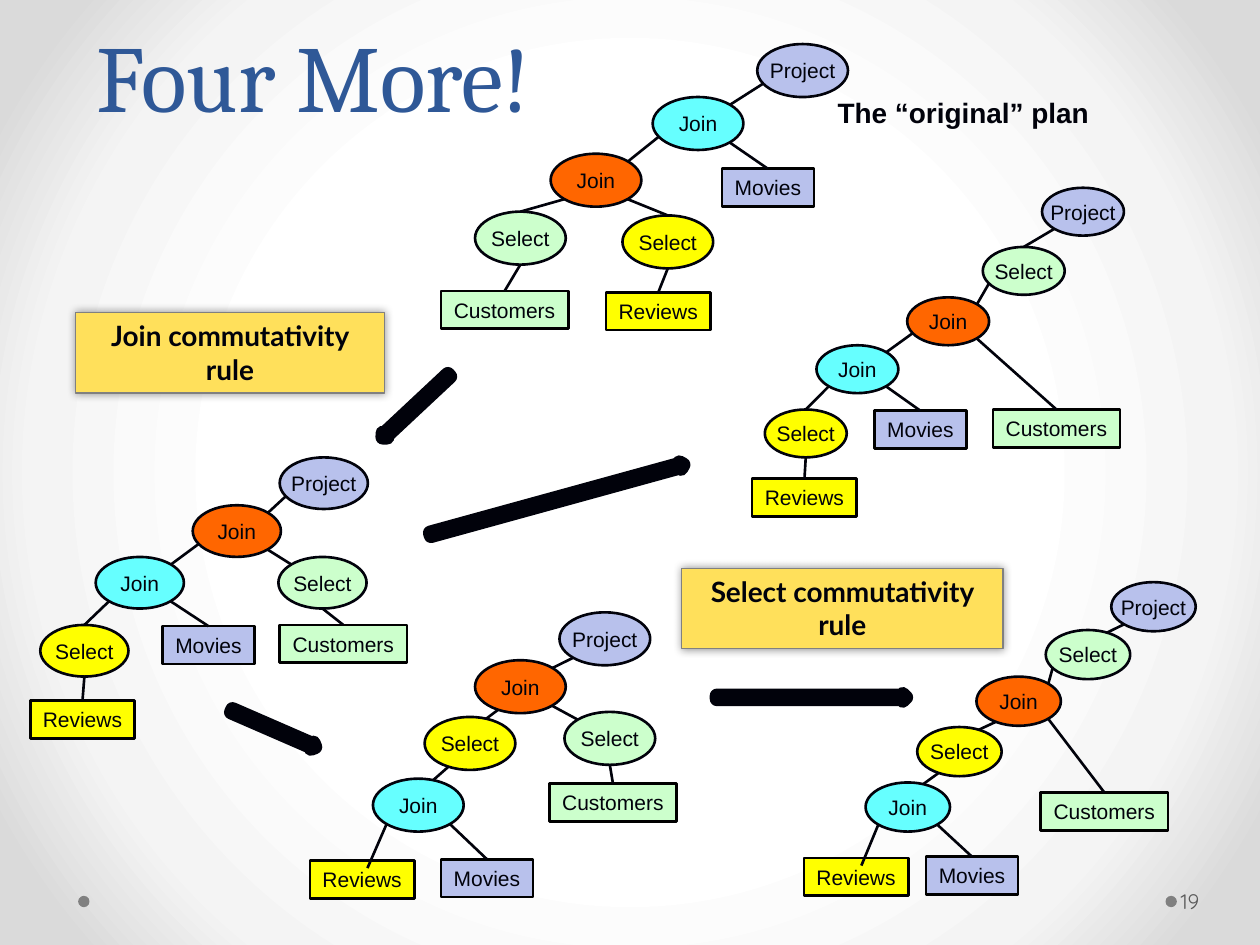
from lxml.etree import SubElement
from pptx import Presentation
from pptx.dml.color import RGBColor
from pptx.enum.shapes import MSO_CONNECTOR, MSO_SHAPE as Shape
from pptx.enum.text import MSO_ANCHOR as Anchor, PP_ALIGN as Align
from pptx.oxml import parse_xml
from pptx.oxml.ns import nsdecls, qn
from pptx.util import Inches, Pt

COLUMNS, ROWS, CELL = 100, 75, 0.1  # a grid of square cells over the slide

COLORS = {
    "ink": "01020B", "black": "000000", "title": "2F5897", "number": "595959",
    "dot": "808080", "arrow": "6076B4", "rule": "FFE05B",
    "green": "CCFFCC", "yellow": "FFFF00", "orange": "FF6600",
    "cyan": "66FFFF", "lilac": "B8C1EC",
}
BACKDROP = ((50, "FFFFFF"), (76, "F4F4F4"), (92, "DADADA"))

# Operators of the query plans, and the relations with their box widths
OPERATORS = {
    "project": ("Project", "lilac"),
    "join_movies": ("Join", "cyan"),
    "join_customers": ("Join", "orange"),
    "select_customers": ("Select", "green"),
    "select_reviews": ("Select", "yellow"),
}
RELATIONS = {
    "customers": ("Customers", "green", 10.1),
    "reviews": ("Reviews", "yellow", 8.3),
    "movies": ("Movies", "lilac", 7.3),
}
RELATION_HEIGHT = 3

# Where an edge meets a node, as shares of the node's width and height
SITES = {
    "top": (0.5, 0), "bottom": (0.5, 1), "inner": (0.55, 0.2), "left": (0.09, 0.72),
    "top_left": (0.15, 0.15), "top_right": (0.85, 0.15),
    "under": (0.33, 0.84), "bottom_left": (0.15, 0.86), "bottom_right": (0.85, 0.86),
}

MOVIES_EDGE = ("movies", "top", "join_movies", "bottom_right")
CUSTOMERS_EDGE = ("customers", "top", "select_customers", "bottom")
REVIEWS_EDGE = ("reviews", "top", "select_reviews", "bottom")
LOW_REVIEWS_EDGE = ("reviews", "inner", "join_movies", "bottom_left")
CUSTOMERS_JOIN_EDGE = ("customers", "top", "join_customers", "bottom_right")
SELECT_JOIN_EDGE = ("select_customers", "top_left", "join_customers", "bottom_right")
REVIEWS_JOIN_EDGE = ("select_reviews", "top", "join_movies", "bottom_left")
JOINS_EDGE = ("join_movies", "top_right", "join_customers", "left")
PUSHED_EDGES = (("select_reviews", "inner", "join_customers", "under"),
                ("join_movies", "inner", "select_reviews", "under"))
LATE_SELECT_EDGE = ("select_customers", "left", "join_customers", "top_right")

# Each plan: origin, operator size, node offsets from the origin, edges
PLANS = (
    ((35, 3.5), (7.2, 4.2), {
        "project": (25.1, 0), "join_movies": (16.8, 4.2), "join_customers": (8.7, 8.7),
        "select_customers": (2.7, 13.3), "select_reviews": (14.4, 13.6),
        "customers": (0, 19.6), "reviews": (13.1, 19.7), "movies": (22.3, 9.9),
    }, (MOVIES_EDGE, CUSTOMERS_EDGE, REVIEWS_EDGE,
        ("join_customers", "top_right", "join_movies", "left"),
        ("join_movies", "top_right", "project", "left"),
        ("select_customers", "top", "join_customers", "bottom_left"),
        ("select_reviews", "top", "join_customers", "bottom_right"))),
    ((2.4, 36.3), (7, 4.1), {
        "project": (19.8, 0), "join_customers": (12.9, 3.8), "join_movies": (5.2, 7.9),
        "select_customers": (19.7, 7.9), "select_reviews": (0.8, 13.3),
        "customers": (19.8, 13.3), "reviews": (0, 19.3), "movies": (10.5, 13.4),
    }, (MOVIES_EDGE, CUSTOMERS_EDGE, REVIEWS_EDGE, JOINS_EDGE,
        REVIEWS_JOIN_EDGE, SELECT_JOIN_EDGE,
        ("project", "left", "join_customers", "top_right"))),
    ((24.6, 48.6), (7.2, 4.2), {
        "project": (19.8, 0), "join_customers": (13.1, 3.8), "select_reviews": (9.1, 8.3),
        "select_customers": (20.2, 7.9), "join_movies": (5, 13.2),
        "customers": (19, 13.6), "reviews": (0, 19.7), "movies": (10.4, 19.6),
    }, (MOVIES_EDGE, CUSTOMERS_EDGE, LOW_REVIEWS_EDGE, *PUSHED_EDGES, SELECT_JOIN_EDGE,
        ("project", "bottom_left", "join_customers", "top_right"))),
    ((59.7, 14.9), (6.5, 3.8), {
        "project": (23, 0), "select_customers": (18.3, 4.7), "join_customers": (12.3, 8.7),
        "join_movies": (5.1, 12.5), "select_reviews": (1, 17.6),
        "customers": (19.1, 17.6), "reviews": (0, 23.1), "movies": (9.7, 17.7),
    }, (MOVIES_EDGE, CUSTOMERS_JOIN_EDGE, REVIEWS_EDGE, JOINS_EDGE,
        REVIEWS_JOIN_EDGE, LATE_SELECT_EDGE,
        ("project", "bottom_left", "select_customers", "top"))),
    ((63.8, 46.2), (6.7, 3.9), {
        "project": (24.4, 0), "select_customers": (19.2, 3.8), "join_customers": (13.7, 7.5),
        "select_reviews": (9, 11.5), "join_movies": (4.9, 15.9),
        "customers": (18.8, 16.7), "reviews": (0, 21.9), "movies": (9.7, 21.8),
    }, (MOVIES_EDGE, CUSTOMERS_JOIN_EDGE, LOW_REVIEWS_EDGE, *PUSHED_EDGES, LATE_SELECT_EDGE,
        ("project", "bottom_left", "select_customers", "inner"))),
)
ARROWS = (  # left, top, length, rotation
    (56.9, 55.1, 15, 0), (33.8, 39.4, 20.8, 344.6),
    (18.1, 57.6, 7.2, 23.5), (29.4, 32, 7.2, 136.9),
)
RULES = (("Join commutativity rule", (6, 24.8, 24.5, 6.4)),
         ("Select commutativity rule", (54.1, 45.1, 25.5, 6.4)))


def cells(*lengths):
    return [Inches(length * CELL) for length in lengths]


def rgb(name):
    return RGBColor.from_string(COLORS[name])


def write(shape, text, font, size, color="ink", bold=False, spacing=None,
          align=Align.CENTER, **frame_format):
    frame = shape.text_frame
    for name, value in {"word_wrap": True, **frame_format}.items():
        setattr(frame, name, value)
    paragraph = frame.paragraphs[0]
    paragraph.alignment, paragraph.line_spacing = align, spacing
    run = paragraph.add_run()
    run.text = text
    for name, value in {"name": font, "size": Pt(size), "bold": bold}.items():
        setattr(run.font, name, value)
    run.font.color.rgb = rgb(color)


def add_figure(shapes, kind, box, fill, line=None, width=1.5):
    shape = shapes.add_shape(kind, *cells(*box))
    shape.shadow.inherit = False
    shape.fill.solid()
    shape.fill.fore_color.rgb = rgb(fill)
    if line:
        shape.line.color.rgb = rgb(line)
        shape.line.width = Pt(width)
    else:
        shape.line.fill.background()
    return shape


def add_edge(shapes, start, end):
    edge = shapes.add_connector(MSO_CONNECTOR.STRAIGHT, *cells(*start, *end))
    edge.line.color.rgb = rgb("ink")
    edge.line.width = Pt(1.5)
    SubElement(edge.element.spPr, qn("a:effectLst"))


def site_point(box, site):
    left, top, width, height = box
    across, down = SITES[site]
    return left + across * width, top + down * height


def add_plan(slide, origin, operator_size, offsets, edges):
    """Boxes lie below the edges, and ovals above them."""
    shapes = slide.shapes.add_group_shape().shapes
    boxes = {}
    for key, (across, down) in offsets.items():
        size = (RELATIONS[key][2], RELATION_HEIGHT) if key in RELATIONS else operator_size
        boxes[key] = (origin[0] + across, origin[1] + down, *size)
    for key, (label, color, _) in RELATIONS.items():
        shape = add_figure(shapes, Shape.RECTANGLE, boxes[key], color, "black")
        write(shape, label, "Arial", 12, word_wrap=False, vertical_anchor=Anchor.TOP)
    for child, child_site, parent, parent_site in edges:
        add_edge(shapes, site_point(boxes[child], child_site),
                 site_point(boxes[parent], parent_site))
    for key, (label, color) in OPERATORS.items():
        shape = add_figure(shapes, Shape.OVAL, boxes[key], color, "ink")
        write(shape, label, "Arial", 12, word_wrap=False, vertical_anchor=Anchor.MIDDLE)


def add_rule(slide, text, box):
    shape = add_figure(slide.shapes, Shape.RECTANGLE, box, "rule", "dot", 0.75)
    write(shape, text, "Lato", 16, bold=True, vertical_anchor=Anchor.TOP)
    effects = shape.element.spPr.find(qn("a:effectLst"))
    effects.append(parse_xml(
        f'<a:outerShdw {nsdecls("a")} blurRad="{Pt(5)}" dist="0" dir="0">'
        f'<a:srgbClr val="{COLORS["black"]}"><a:alpha val="40000"/></a:srgbClr></a:outerShdw>'))


def add_text(slide, box, text, *font, **text_format):
    write(slide.shapes.add_textbox(*cells(*box)), text, *font, **text_format)


def paint_background(slide):
    slide.background.fill.solid()
    properties = slide.element.find(".//" + qn("p:bgPr"))
    stops = "".join(f'<a:gs pos="{share * 1000}"><a:srgbClr val="{color}"/></a:gs>'
                    for share, color in BACKDROP)
    properties.replace(properties[0], parse_xml(
        f'<a:gradFill {nsdecls("a")} rotWithShape="1"><a:gsLst>{stops}</a:gsLst>'
        '<a:path path="circle"><a:fillToRect l="50000" t="50000" r="50000" b="50000"/>'
        '</a:path></a:gradFill>'))


def main():
    presentation = Presentation()
    presentation.slide_width, presentation.slide_height = cells(COLUMNS, ROWS)
    slide = presentation.slides.add_slide(presentation.slide_layouts[6])
    paint_background(slide)
    for left in (92.5, 6.2):
        add_figure(slide.shapes, Shape.OVAL, (left, 71.1, 0.9, 0.9), "dot")
    add_text(slide, (1.3, 2.2, 47.2, 8.7), "Four More!", "Cambria", 54, "title",
             spacing=Pt(58), vertical_anchor=Anchor.BOTTOM)
    add_text(slide, (93.4, 69.5, 6.1, 4), "19", "Quicksand", 12, "number",
             align=Align.LEFT, vertical_anchor=Anchor.MIDDLE,
             margin_left=Inches(0.03), margin_right=Inches(0.05))
    add_text(slide, (65.5, 7.1, 23, 3.7), "The “original” plan", "Arial", 16,
             bold=True, align=Align.LEFT)
    for plan in PLANS:
        add_plan(slide, *plan)
    for left, top, length, rotation in ARROWS:
        arrow = add_figure(slide.shapes, Shape.RIGHT_ARROW, (left, top, length, 0.5),
                           "arrow", "ink", 8.25)
        arrow.rotation = rotation
    for rule in RULES:
        add_rule(slide, *rule)
    presentation.save("out.pptx")


if __name__ == "__main__":
    main()
